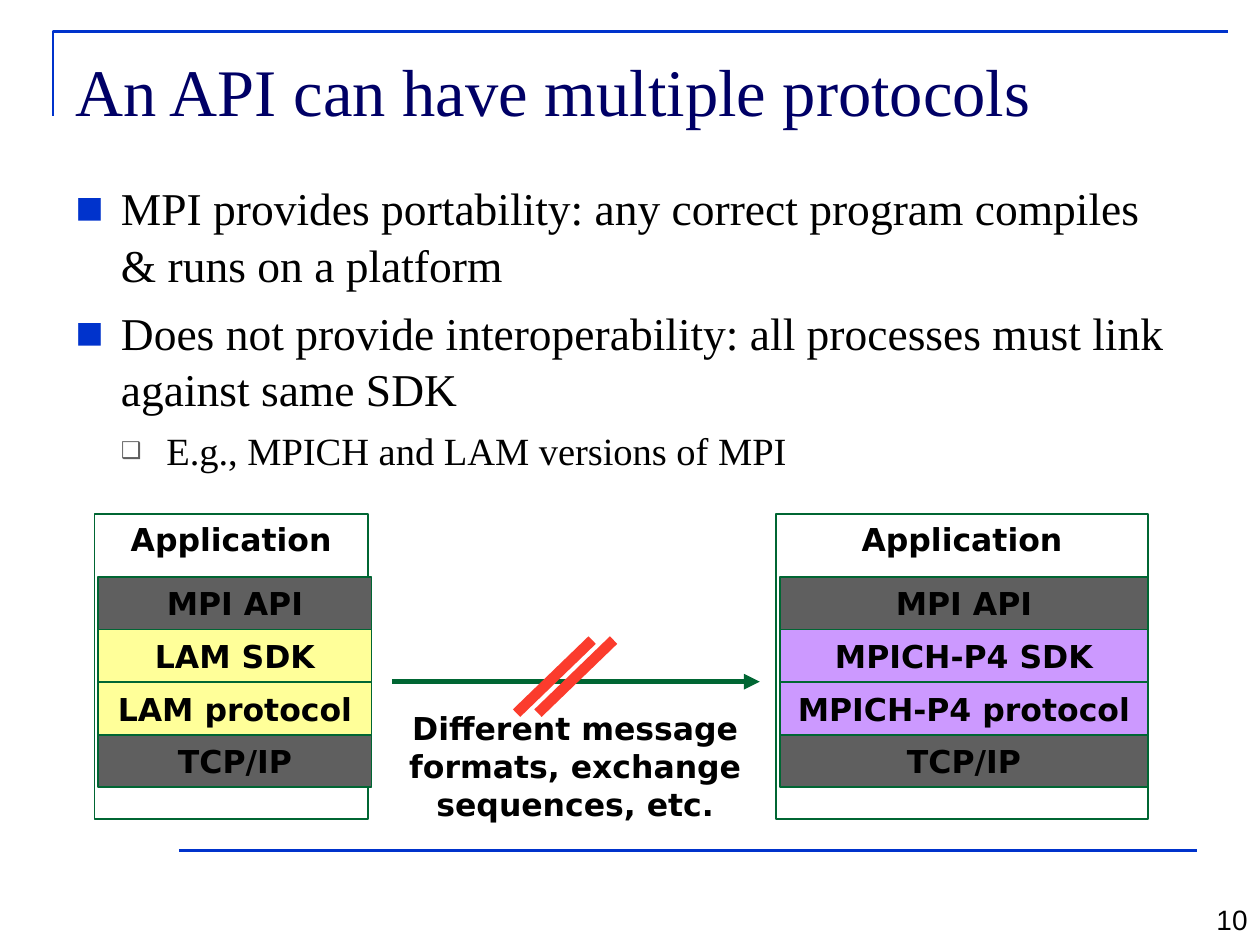
from lxml import etree
from pptx import Presentation, util as u
from pptx.dml.color import RGBColor
from pptx.enum import shapes, text
from pptx.oxml.ns import qn

SERIF, SANS = "Times New Roman", "DejaVu Sans"
BLUE, GREEN, RED, GRAY = "0033CC", "006633", "FB3C2D", "5F5F5F"
YELLOW, PURPLE = "FFFF99", "CC99FF"
LAYER_TOP, LAYER_HEIGHT = 4.58, 0.417


def color(value):
    return RGBColor.from_string(value)


def place(shape, left, top, width, height):
    shape.left, shape.top = u.Inches(left), u.Inches(top)
    shape.width, shape.height = u.Inches(width), u.Inches(height)


def set_frame(shape, wrap=True, anchor=text.MSO_ANCHOR.TOP, top_inset=0.05):
    frame = shape.text_frame
    frame.auto_size = text.MSO_AUTO_SIZE.NONE
    frame.word_wrap = wrap
    frame.vertical_anchor = anchor
    frame.margin_top = u.Inches(top_inset)
    return frame


def write(paragraph, content, size=18, font=SANS, fill="000000", bold=False,
          align=text.PP_ALIGN.LEFT, before=0, spacing=None):
    paragraph.alignment = align
    paragraph.space_before = u.Pt(before)
    if spacing:
        paragraph.line_spacing = spacing
    run = paragraph.add_run()
    run.text = content
    run.font.size, run.font.name, run.font.bold = u.Pt(size), font, bold
    run.font.color.rgb = color(fill)


def write_label(paragraph, content):
    write(paragraph, content, bold=True, align=text.PP_ALIGN.CENTER)


def set_bullet(paragraph, symbol, fill, percent, indent):
    paragraph.line_spacing = 1.04
    properties = paragraph._p.get_or_add_pPr()
    properties.set("marL", str(u.Inches(indent)))
    properties.set("indent", str(u.Inches(-0.36)))
    bullet_color = etree.SubElement(properties, qn("a:buClr"))
    etree.SubElement(bullet_color, qn("a:srgbClr"), val=fill)
    etree.SubElement(properties, qn("a:buSzPct"), val=str(percent * 1000))
    etree.SubElement(properties, qn("a:buFont"), typeface=SANS)
    etree.SubElement(properties, qn("a:buChar"), char=symbol)


def add_line(slide, start, end, fill, width, arrow=False):
    points = [u.Inches(value) for value in (*start, *end)]
    line = slide.shapes.add_connector(shapes.MSO_CONNECTOR.STRAIGHT, *points)
    line.line.color.rgb = color(fill)
    line.line.width = u.Pt(width)
    if arrow:
        etree.SubElement(line.line._get_or_add_ln(), qn("a:tailEnd"), type="triangle")
    etree.SubElement(line._element.spPr, qn("a:effectLst"))


def add_box(slide, box, label, fill=None, anchor=text.MSO_ANCHOR.MIDDLE):
    shape = slide.shapes.add_shape(shapes.MSO_SHAPE.RECTANGLE, *map(u.Inches, box))
    shape.shadow.inherit = False
    if fill:
        shape.fill.solid()
        shape.fill.fore_color.rgb = color(fill)
    else:
        shape.fill.background()
    shape.line.color.rgb = color(GREEN)
    shape.line.width = u.Pt(1)
    write_label(set_frame(shape, False, anchor).paragraphs[0], label)


def add_stack(slide, left, width, layer_width, library, fill):
    add_box(slide, (left, 4.08, width, 2.42), "Application", anchor=text.MSO_ANCHOR.TOP)
    layers = [("MPI API", GRAY), (f"{library} SDK", fill),
              (f"{library} protocol", fill), ("TCP/IP", GRAY)]
    for row, (label, layer_fill) in enumerate(layers):
        top = LAYER_TOP + row * LAYER_HEIGHT
        add_box(slide, (left + 0.03, top, layer_width, LAYER_HEIGHT), label, layer_fill)


def add_text_box(slide, *box):
    return slide.shapes.add_textbox(*map(u.Inches, box))


def add_corner(slide):
    builder = slide.shapes.build_freeform(u.Inches(0.42), u.Inches(0.92))
    builder.add_line_segments([(u.Inches(0.42), u.Inches(0.25)),
                               (u.Inches(9.75), u.Inches(0.25))], close=False)
    corner = builder.convert_to_shape()
    corner.shadow.inherit = False
    corner.fill.background()
    corner.line.color.rgb = color(BLUE)
    corner.line.width = u.Pt(1.5)


def fill_placeholders(slide):
    title, body = slide.placeholders
    place(title, 0.5, 0.3, 8.58, 0.95)
    write(set_frame(title, top_inset=0.1).paragraphs[0],
          "An API can have multiple protocols", size=38, font=SERIF, fill="000066")

    place(body, 0.5, 1.33, 9, 5.37)
    frame = set_frame(body, top_inset=0.08)
    items = [
        (0, "MPI provides portability: any correct program compiles & runs on a platform"),
        (0, "Does not provide interoperability: all processes must link against same SDK"),
        (1, "E.g., MPICH and LAM versions of MPI"),
    ]
    levels = [(26, 6.5, ("■", BLUE, 65, 0.36)), (22, 5.5, ("❑", GRAY, 60, 0.72))]
    for index, (level, content) in enumerate(items):
        size, before, bullet = levels[level]
        paragraph = frame.add_paragraph() if index else frame.paragraphs[0]
        paragraph.level = level
        set_bullet(paragraph, *bullet)
        write(paragraph, content, size=size, font=SERIF, before=before if index else 0)


def main():
    presentation = Presentation()
    presentation.slide_width, presentation.slide_height = u.Inches(10), u.Inches(7.5)
    slide = presentation.slides.add_slide(presentation.slide_layouts[1])

    # Frame lines, title and list
    add_corner(slide)
    add_line(slide, (1.42, 6.75), (9.5, 6.75), BLUE, 1.5)
    fill_placeholders(slide)

    # Protocol stacks
    add_stack(slide, 6.16, 2.95, 2.92, "MPICH-P4", PURPLE)
    add_stack(slide, 0.75, 2.17, 2.17, "LAM", YELLOW)

    # Broken link between the stacks
    add_line(slide, (3.11, 5.41), (6.03, 5.41), GREEN, 3, arrow=True)
    for left in (4.1, 4.27):
        add_line(slide, (left + 0.6, 5.08), (left, 5.66), RED, 6)
    caption = add_text_box(slide, 2.94, 5.58, 3.25, 1)
    write_label(set_frame(caption).paragraphs[0],
                "Different message formats, exchange sequences, etc.")

    # Slide number
    number = add_text_box(slide, 9.5, 7.18, 0.5, 0.3)
    write(set_frame(number).paragraphs[0], "10", size=16, font="Arial",
          align=text.PP_ALIGN.RIGHT, spacing=0.74)

    presentation.save("out.pptx")


if __name__ == "__main__":
    main()
